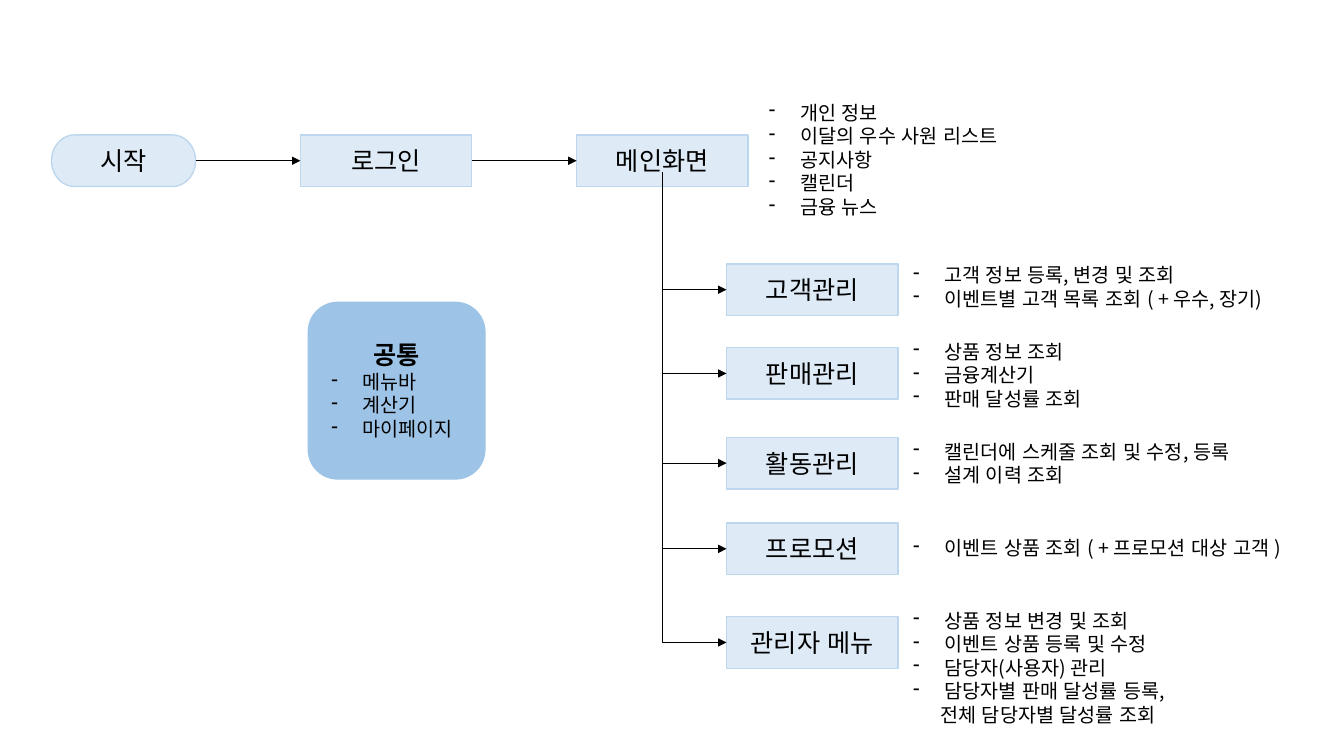
"""Draw the screen flow of a sales support system, from start to the menus."""
from dataclasses import dataclass

from lxml import etree
from pptx import Presentation
from pptx.dml.color import RGBColor
from pptx.enum.lang import MSO_LANGUAGE_ID
from pptx.enum.shapes import MSO_CONNECTOR, MSO_SHAPE
from pptx.enum.text import MSO_ANCHOR, MSO_AUTO_SIZE, PP_ALIGN
from pptx.oxml.ns import qn
from pptx.util import Cm, Pt

RECTANGLE = MSO_SHAPE.RECTANGLE
ROUNDED = MSO_SHAPE.ROUNDED_RECTANGLE
TERMINATOR = MSO_SHAPE.FLOWCHART_TERMINATOR
STRAIGHT = MSO_CONNECTOR.STRAIGHT
ELBOW = MSO_CONNECTOR.ELBOW
CENTER = PP_ALIGN.CENTER
MIDDLE = MSO_ANCHOR.MIDDLE
GROW = MSO_AUTO_SIZE.SHAPE_TO_FIT_TEXT
KOREAN = MSO_LANGUAGE_ID.KOREAN
LEFT_SIDE, RIGHT_SIDE = 1, 3

FONT = "Noto Sans CJK KR"
COLORS = {"text": "000000", "box": "DEEBF7", "edge": "BDD7EE", "common": "9DC3E6"}
BOX_WIDTH, BOX_HEIGHT = 4.32, 1.3
FLOW_TOP = 3.4
MENU_LEFT, NOTE_LEFT = 18.31, 22.76
TRUNK_LEFT, TRUNK_TOP = 16.69, 4.34
BULLET_INDENT = 0.79
CONTINUED_INDENT = 0.69


@dataclass
class Box:
    label: str
    left: float
    top: float
    width: float = BOX_WIDTH
    height: float = BOX_HEIGHT
    kind: int = RECTANGLE
    fill: str = "box"
    edge: str = "edge"


@dataclass
class Note:
    left: float
    top: float
    width: float
    height: float
    items: tuple[str, ...]
    heading: str = ""
    continued: str = ""


COMMON = Box("", 7.77, 7.62, 4.45, 4.45, ROUNDED, "common", "common")
FLOW = (
    Box("시작", 1.3, FLOW_TOP, width=3.63, kind=TERMINATOR),
    Box("로그인", 7.57, FLOW_TOP),
    Box("메인화면", 14.53, FLOW_TOP),
)
MENUS = (
    Box("고객관리", MENU_LEFT, 6.65),
    Box("판매관리", MENU_LEFT, 8.76),
    Box("활동관리", MENU_LEFT, 11.02),
    Box("프로모션", MENU_LEFT, 13.18),
    Box("관리자 메뉴", MENU_LEFT, 15.54),
)
NOTES = (
    Note(19.13, 2.41, 6.4, 3.25,
         ("개인 정보", "이달의 우수 사원 리스트", "공지사항", "캘린더", "금융 뉴스")),
    Note(8.1, 8.43, 3.81, 2.82, ("메뉴바", "계산기", "마이페이지"), heading="공통"),
    Note(NOTE_LEFT, 6.5, 9.68, 1.45,
         ("고객 정보 등록, 변경 및 조회", "이벤트별 고객 목록 조회 ( + 우수, 장기)")),
    Note(NOTE_LEFT, 8.43, 4.85, 2.06, ("상품 정보 조회", "금융계산기", "판매 달성률 조회")),
    Note(NOTE_LEFT, 10.95, 8.71, 1.45,
         ("캘린더에 스케줄 조회 및 수정, 등록", "설계 이력 조회")),
    Note(NOTE_LEFT, 13.39, 10.13, 0.86, ("이벤트 상품 조회 ( + 프로모션 대상 고객 )",)),
    Note(NOTE_LEFT, 15.21, 7.59, 3.25,
         ("상품 정보 변경 및 조회", "이벤트 상품 등록 및 수정", "담당자(사용자) 관리",
          "담당자별 판매 달성률 등록,"),
         continued="전체 담당자별 달성률 조회"),
)


def color(name: str) -> RGBColor:
    return RGBColor.from_string(COLORS[name])


def add_span(para, text: str, size: int, bold: bool = False) -> None:
    span = para.add_run()
    span.text = text
    font = span.font
    font.size, font.bold, font.name = Pt(size), bold, FONT
    font.language_id = KOREAN
    font.color.rgb = color("text")
    etree.SubElement(span._r.get_or_add_rPr(), qn("a:ea"), typeface=FONT)


def draw_box(page, box: Box):
    shape = page.shapes.add_shape(
        box.kind, Cm(box.left), Cm(box.top), Cm(box.width), Cm(box.height))
    shape.shadow.inherit = False
    shape.fill.solid()
    shape.fill.fore_color.rgb = color(box.fill)
    shape.line.color.rgb = color(box.edge)
    shape.line.width = Pt(1)
    if box.label:
        shape.text_frame.vertical_anchor = MIDDLE
        para = shape.text_frame.paragraphs[0]
        para.alignment = CENTER
        add_span(para, box.label, 18)
    return shape


def draw_note(page, note: Note) -> None:
    frame = page.shapes.add_textbox(
        Cm(note.left), Cm(note.top), Cm(note.width), Cm(note.height)).text_frame
    frame.word_wrap = True
    frame.auto_size = GROW
    lines = [line for line in (note.heading, *note.items, note.continued) if line]
    for index, line in enumerate(lines):
        para = frame.add_paragraph() if index else frame.paragraphs[0]
        if line == note.heading:
            para.alignment = CENTER
            add_span(para, line, 18, bold=True)
            continue
        add_span(para, line, 14)
        layout = para._p.get_or_add_pPr()
        if line == note.continued:
            layout.set("marL", str(Cm(CONTINUED_INDENT)))
        else:
            layout.set("marL", str(Cm(BULLET_INDENT)))
            layout.set("indent", str(-Cm(BULLET_INDENT)))
            etree.SubElement(layout, qn("a:buChar"), char="-")


def style_arrow(arrow) -> None:
    arrow.line.color.rgb = color("text")
    arrow.line.width = Pt(0.5)
    etree.SubElement(arrow.line._get_or_add_ln(), qn("a:tailEnd"), type="triangle")
    etree.SubElement(arrow._element.spPr, qn("a:effectLst"))


def draw_step(page, source, target) -> None:
    arrow = page.shapes.add_connector(STRAIGHT, 0, 0, 0, 0)
    arrow.begin_connect(source, RIGHT_SIDE)
    arrow.end_connect(target, LEFT_SIDE)
    style_arrow(arrow)


def draw_branch(page, menu) -> None:
    middle = menu.top + menu.height // 2
    arrow = page.shapes.add_connector(STRAIGHT, Cm(TRUNK_LEFT), middle, menu.left, middle)
    arrow.end_connect(menu, LEFT_SIDE)
    style_arrow(arrow)


def draw_trunk(page, menu) -> None:
    start_x, start_y = Cm(TRUNK_LEFT), Cm(TRUNK_TOP)
    end_x, end_y = menu.left, menu.top + menu.height // 2
    center_x, center_y = (start_x + end_x) // 2, (start_y + end_y) // 2
    half_length, half_depth = (end_y - start_y) // 2, (end_x - start_x) // 2
    arrow = page.shapes.add_connector(
        ELBOW, center_x + half_length, center_y - half_depth,
        center_x - half_length, center_y + half_depth)
    properties = arrow._element.spPr
    properties.find(qn("a:xfrm")).set("rot", str(270 * 60000))
    properties.find(qn("a:prstGeom")).set("prst", "bentConnector2")
    style_arrow(arrow)


def main() -> None:
    deck = Presentation()
    deck.slide_width, deck.slide_height = Cm(33.87), Cm(19.05)
    page = deck.slides.add_slide(deck.slide_layouts[6])
    draw_box(page, COMMON)
    steps = [draw_box(page, box) for box in FLOW]
    menus = [draw_box(page, box) for box in MENUS]
    for note in NOTES:
        draw_note(page, note)
    for source, target in zip(steps, steps[1:]):
        draw_step(page, source, target)
    draw_trunk(page, menus[-1])
    for menu in menus[:-1]:
        draw_branch(page, menu)
    deck.save("out.pptx")


if __name__ == "__main__":
    main()
